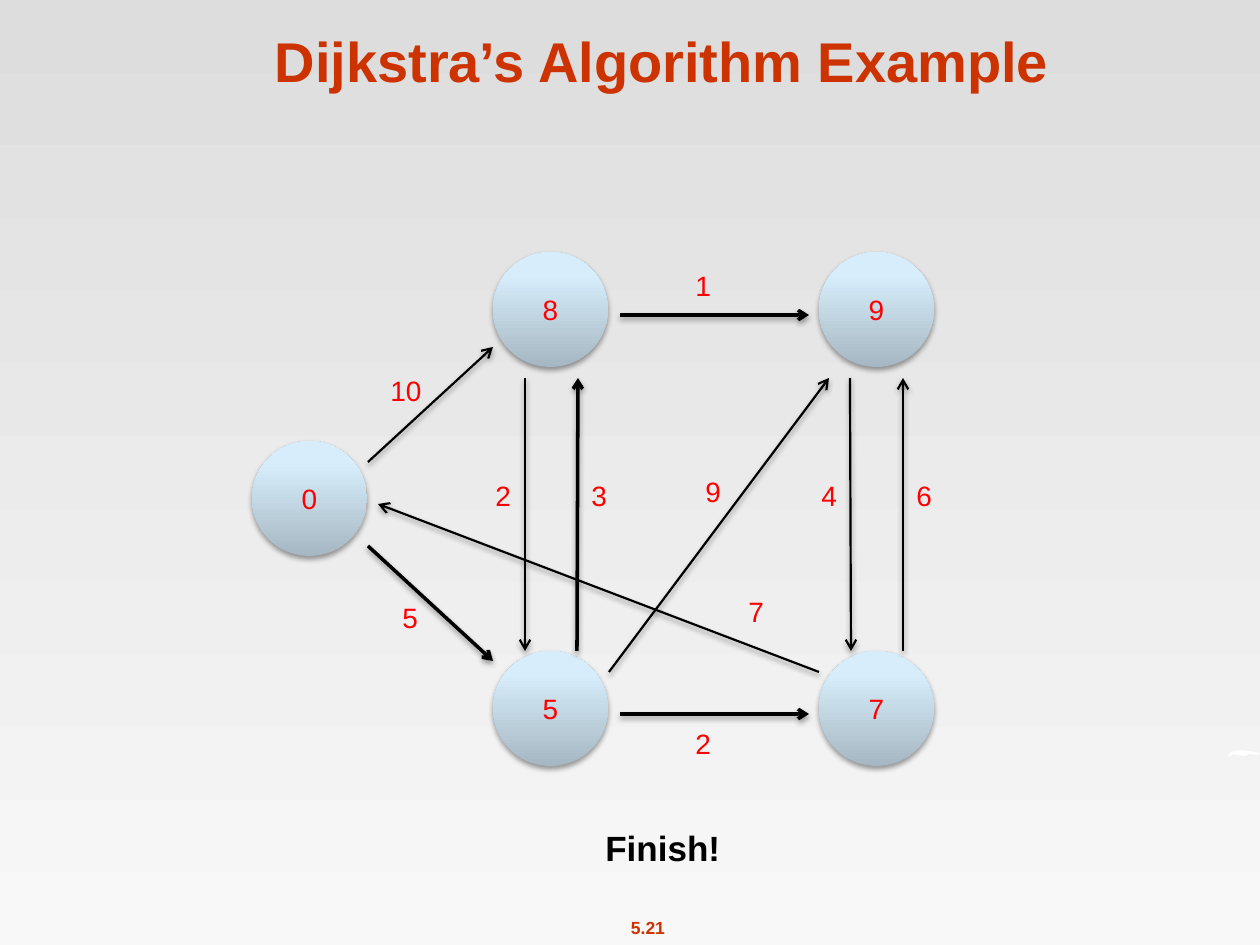
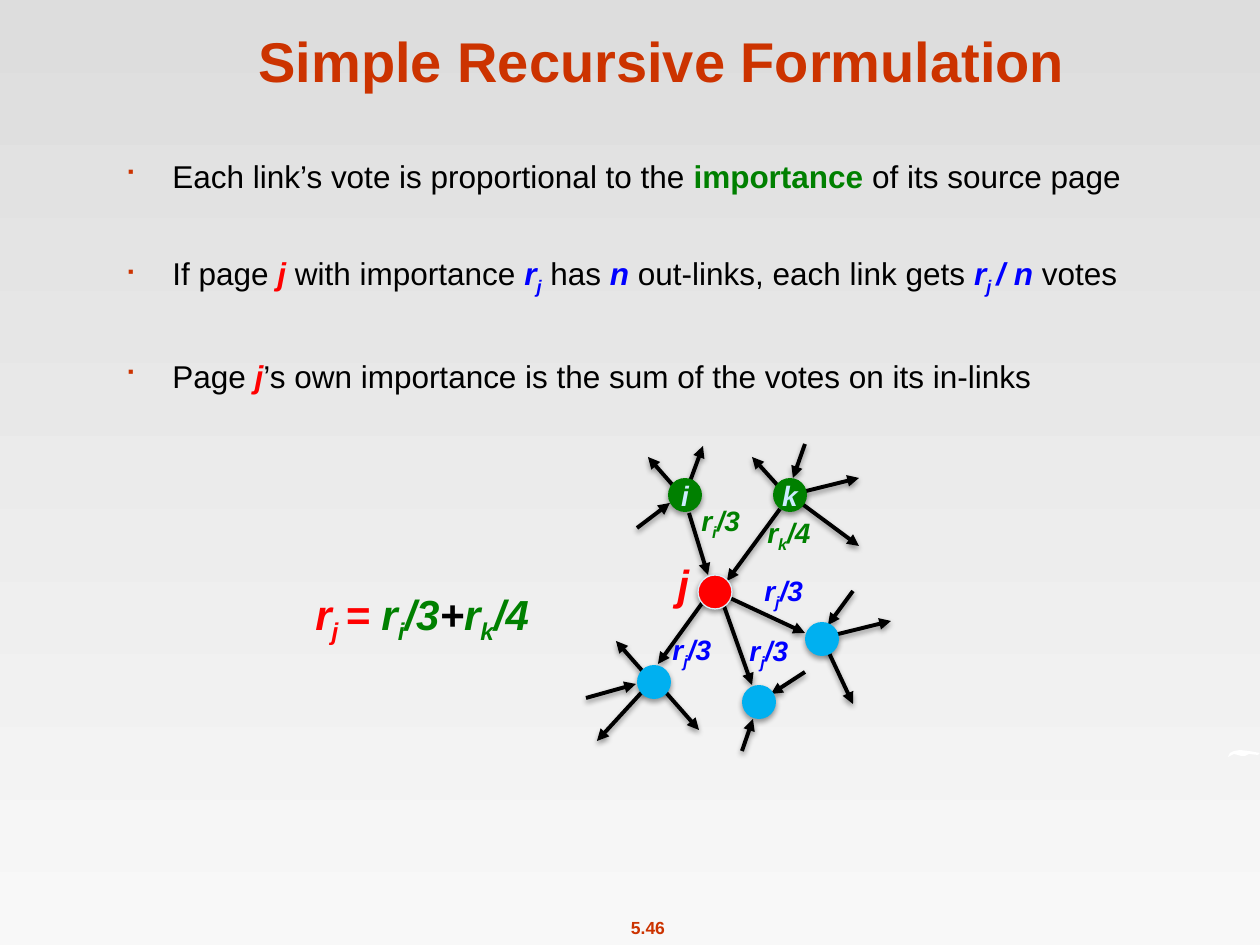
from copy import deepcopy
from dataclasses import dataclass
from typing import Any, NamedTuple

from lxml.etree import SubElement
from pptx import Presentation
from pptx.dml.color import RGBColor
from pptx.enum.shapes import MSO_CONNECTOR as Connector, MSO_SHAPE as Preset
from pptx.enum.text import MSO_ANCHOR as Anchor, MSO_AUTO_SIZE as AutoSize, PP_ALIGN as Align
from pptx.oxml.ns import qn
from pptx.util import Emu, Pt

PX_PER_INCH = 126
EMU_PER_PX = 914400 / PX_PER_INCH

FONT = "Arial"
ORANGE, RED, GREEN, BLUE = "CC3300", "FF0000", "008000", "0000FF"
BLACK, WHITE, PALE, SKY, RIM = "000000", "FFFFFF", "CCECFF", "00B0F0", "DCEFFA"
BACKDROP = [(0, "DDDDDD"), (1, "F8F8F8")]
GLASS = [(0, "A5B7C2"), (0.8, "D7EDFB"), (1, "D7EFFD")]
SWOOSH = [(1228, 757), (1230, 753), (1234, 751), (1240, 750), (1249, 751),
          (1260, 753), (1258, 755), (1249, 754), (1245, 756), (1241, 756),
          (1238, 755), (1234, 754)]
BOLD = {"bold": True}
MATH = {"bold": True, "italic": True}


class Box(NamedTuple):
    x: int
    y: int
    width: int
    height: int


@dataclass(frozen=True)
class Run:
    text: str
    color: str = BLACK
    style: Any = None
    subscript: bool = False


@dataclass(frozen=True)
class Text:
    box: Box
    runs: list[Run]
    size: int = 16
    align: Any = Align.LEFT


@dataclass(frozen=True)
class Node:
    x: int
    y: int
    fill: Any
    label: str = ""
    label_color: str = RED
    label_style: Any = None
    rim: str = ""


@dataclass(frozen=True)
class Arrow:
    x1: int
    y1: int
    x2: int
    y2: int
    weight: float = 2.25
    head: str = "triangle"


def px(value: int) -> Emu:
    return Emu(round(value * EMU_PER_PX))


def rgb(color: str) -> RGBColor:
    return RGBColor.from_string(color)


def apply_formats(target: Any, formats: dict[str, Any]) -> None:
    for name, value in formats.items():
        setattr(target, name, value)


def set_gradient(fill: Any, element: Any, stops: list, angle: int) -> None:
    """Fill with the given stops; element holds the gradient's XML."""
    fill.gradient()
    fill.gradient_angle = angle
    stop_list = next(element.iter(qn("a:gsLst")))
    while len(stop_list) < len(stops):
        stop_list.append(deepcopy(stop_list[0]))
    for stop, (position, color) in zip(fill.gradient_stops, stops):
        stop.position = position
        stop.color.rgb = rgb(color)


def add_shadow(shape: Any, alpha: int = 38, distance: int = 20000) -> None:
    properties = shape._element.spPr
    effects = SubElement(properties, qn("a:effectLst"))
    outer = SubElement(effects, qn("a:outerShdw"), blurRad="40000",
                       dist=str(distance), dir="5400000", rotWithShape="0")
    color = SubElement(outer, qn("a:srgbClr"), val=BLACK)
    SubElement(color, qn("a:alpha"), val=str(alpha * 1000))


def write_runs(paragraph: Any, runs: list[Run], size: int) -> None:
    for item in runs:
        run = paragraph.add_run()
        run.text = item.text
        apply_formats(run.font, {"name": FONT, "size": Pt(size), **(item.style or {})})
        run.font.color.rgb = rgb(item.color)
        if item.subscript:
            run._r.get_or_add_rPr().set("baseline", "-25000")


def add_text(slide: Any, text: Text) -> None:
    frame = slide.shapes.add_textbox(*map(px, text.box)).text_frame
    apply_formats(frame, {"word_wrap": False, "auto_size": AutoSize.SHAPE_TO_FIT_TEXT})
    paragraph = frame.paragraphs[0]
    paragraph.alignment = text.align
    write_runs(paragraph, text.runs, text.size)


def add_node(slide: Any, node: Node, diameter: int) -> None:
    shape = slide.shapes.add_shape(Preset.OVAL, *map(px, (node.x, node.y, diameter, diameter)))
    if isinstance(node.fill, str):
        shape.fill.solid()
        shape.fill.fore_color.rgb = rgb(node.fill)
    else:
        set_gradient(shape.fill, shape._element, node.fill, 90)
    if node.rim:
        shape.line.color.rgb = rgb(node.rim)
        shape.line.width = Pt(0.75)
    else:
        shape.line.fill.background()
    add_shadow(shape)
    if node.label:
        frame = shape.text_frame
        apply_formats(frame, {"word_wrap": False, "vertical_anchor": Anchor.MIDDLE,
                              "margin_left": 0, "margin_right": 0})
        frame.paragraphs[0].alignment = Align.CENTER
        write_runs(frame.paragraphs[0],
                   [Run(node.label, node.label_color, node.label_style)], 16)


def add_arrow(slide: Any, arrow: Arrow) -> None:
    ends = map(px, (arrow.x1, arrow.y1, arrow.x2, arrow.y2))
    connector = slide.shapes.add_connector(Connector.STRAIGHT, *ends)
    connector.line.color.rgb = rgb(BLACK)
    connector.line.width = Pt(arrow.weight)
    SubElement(connector.line._get_or_add_ln(), qn("a:tailEnd"), type=arrow.head)
    add_shadow(connector)


def add_bullets(slide: Any, box: Box, items: list[list[Run]]) -> None:
    frame = slide.shapes.add_textbox(*map(px, box)).text_frame
    frame.word_wrap = True
    for index, runs in enumerate(items):
        paragraph = frame.add_paragraph() if index else frame.paragraphs[0]
        paragraph.space_before = Pt(34 if index else 0)
        properties = paragraph._p.get_or_add_pPr()
        properties.set("marL", str(px(48)))
        properties.set("indent", str(px(-48)))
        SubElement(SubElement(properties, qn("a:buClr")), qn("a:srgbClr"), val=ORANGE)
        SubElement(properties, qn("a:buSzPct"), val="90000")
        SubElement(properties, qn("a:buFont"), typeface="Wingdings", charset="2")
        SubElement(properties, qn("a:buChar"), char="■")
        write_runs(paragraph, runs, 18)


def add_base_slide(presentation: Any, title: str, number: str) -> Any:
    """Add a slide with the shared backdrop, swoosh, title and page number."""
    slide = presentation.slides.add_slide(presentation.slide_layouts[6])
    set_gradient(slide.background.fill, slide._element, BACKDROP, 270)
    add_text(slide, Text(Box(617, 911, 62, 34), [Run(number, ORANGE, BOLD)], 10, Align.CENTER))

    builder = slide.shapes.build_freeform(*SWOOSH[0], scale=EMU_PER_PX)
    builder.add_line_segments(SWOOSH[1:], close=True)
    swoosh = builder.convert_to_shape()
    swoosh.shadow.inherit = False
    swoosh.fill.solid()
    swoosh.fill.fore_color.rgb = rgb(WHITE)
    swoosh.line.fill.background()

    frame = slide.shapes.add_textbox(*map(px, (106, 16, 1112, 84))).text_frame
    apply_formats(frame, {"word_wrap": True, "vertical_anchor": Anchor.BOTTOM})
    frame.paragraphs[0].alignment = Align.CENTER
    write_runs(frame.paragraphs[0], [Run(title, ORANGE, BOLD)], 32)
    return slide


def rank(page: str, color: str, rest: str = "") -> list[Run]:
    """Runs for r with the page as subscript, then the rest."""
    runs = [Run("r", color, MATH), Run(page, color, MATH, True)]
    return runs + [Run(rest, color, MATH)] if rest else runs


def build_dijkstra(presentation: Any) -> None:
    slide = add_base_slide(presentation, "Dijkstra’s Algorithm Example", "5.21")
    left, right, top, bottom = 493, 819, 252, 651
    for x, y, distance in [(252, 441, "0"), (left, top, "8"), (left, bottom, "5"),
                           (right, top, "9"), (right, bottom, "7")]:
        add_node(slide, Node(x, y, GLASS, distance), 115)

    thin, thick = 1.25, 2
    for x1, y1, x2, y2, weight in [
        (368, 546, 493, 661, thick), (368, 462, 493, 347, thin),
        (620, 714, 809, 714, thick), (620, 315, 809, 315, thick),
        (609, 672, 829, 378, thin), (819, 672, 378, 504, thin),
        (577, 651, 578, 378, thick), (525, 378, 525, 651, thin),
        (903, 651, 903, 378, thin), (850, 378, 851, 651, thin),
    ]:
        add_arrow(slide, Arrow(x1, y1, x2, y2, weight, "arrow"))

    for x, y, cost in [(378, 367, "10"), (390, 594, "5"), (483, 472, "2"), (579, 472, "3"),
                       (683, 720, "2"), (683, 262, "1"), (693, 468, "9"), (736, 588, "7"),
                       (809, 472, "4"), (904, 472, "6")]:
        width = 26 + 16 * len(cost)
        add_text(slide, Text(Box(x, y, width, 46), [Run(cost, RED)]))
    add_text(slide, Text(Box(593, 820, 141, 55), [Run("Finish!", BLACK, BOLD)], 20))


def build_recursion(presentation: Any) -> None:
    slide = add_base_slide(presentation, "Simple Recursive Formulation", "5.46")
    page_j = Run("j", RED, MATH)
    add_bullets(slide, Box(112, 151, 1056, 675), [
        [Run("Each link’s vote is proportional to the "), Run("importance ", GREEN, BOLD),
         Run("of its source page")],
        [Run("If page "), page_j, Run(" with importance "), *rank("j", BLUE), Run(" has "),
         Run("n", BLUE, MATH), Run(" out-links, each link gets "),
         *rank("j ", BLUE, "/ n"), Run(" votes")],
        [Run("Page "), page_j,
         Run("’s own importance is the sum of the votes on its in-links")],
    ])

    for ends in [
        # votes into and out of page j
        (689, 513, 708, 575), (780, 509, 727, 581),
        (711, 591, 658, 664), (717, 592, 805, 633), (719, 592, 752, 685),
        # other links leaving the pages
        (790, 495, 859, 546), (790, 495, 859, 478), (790, 499, 752, 457),
        (685, 495, 703, 446), (685, 499, 648, 457),
        (822, 638, 853, 704), (822, 638, 891, 621),
        (654, 679, 597, 741), (654, 679, 699, 730), (654, 684, 616, 641),
        # other links arriving at the pages
        (853, 591, 828, 625), (805, 444, 793, 478), (805, 672, 771, 694),
        (586, 698, 636, 684), (742, 751, 753, 719), (637, 528, 670, 503),
    ]:
        add_arrow(slide, Arrow(*ends))

    for node in [Node(698, 575, RED, rim=RIM),
                 Node(773, 478, GREEN, "k", PALE, MATH), Node(668, 478, GREEN, "i", PALE, MATH),
                 Node(637, 665, SKY), Node(805, 622, SKY), Node(742, 685, SKY)]:
        add_node(slide, node, 34)

    add_text(slide, Text(Box(665, 552, 38, 64), [page_j], 24))
    for x, y, width, page, share, color in [
        (752, 567, 67, "j", "/3", BLUE), (737, 627, 67, "j", "/3", BLUE),
        (660, 626, 67, "j", "/3", BLUE), (689, 497, 70, "i", "/3", GREEN),
        (755, 509, 76, "k", "/4", GREEN),
    ]:
        add_text(slide, Text(Box(x, y, width, 50), rank(page, color, share)))
    equation = [*rank("j ", RED, "= "), *rank("i", GREEN, "/3"),
                Run("+", BLACK, MATH), *rank("k", GREEN, "/4")]
    add_text(slide, Text(Box(303, 582, 247, 64), equation, 24))


def main() -> None:
    presentation = Presentation()
    apply_formats(presentation, {"slide_width": px(1260), "slide_height": px(945)})
    build_dijkstra(presentation)
    build_recursion(presentation)
    presentation.save("out.pptx")


if __name__ == "__main__":
    main()
